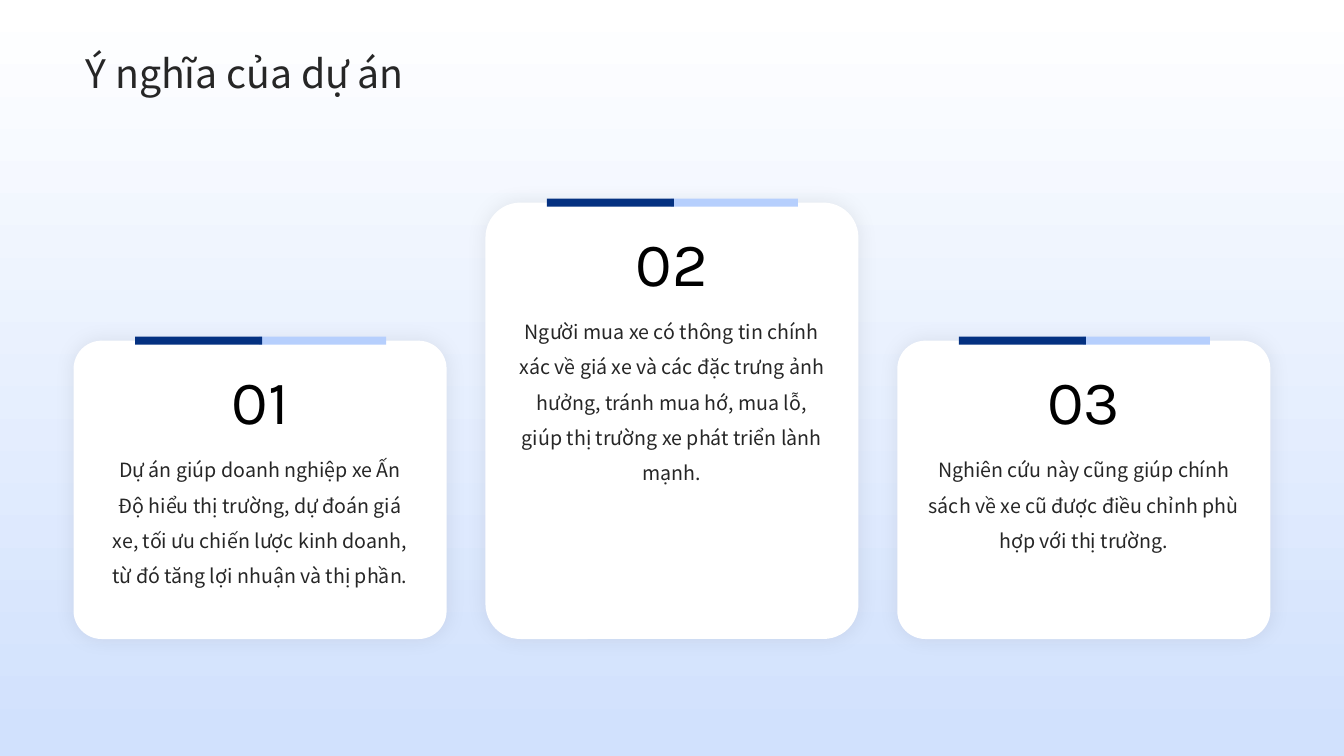
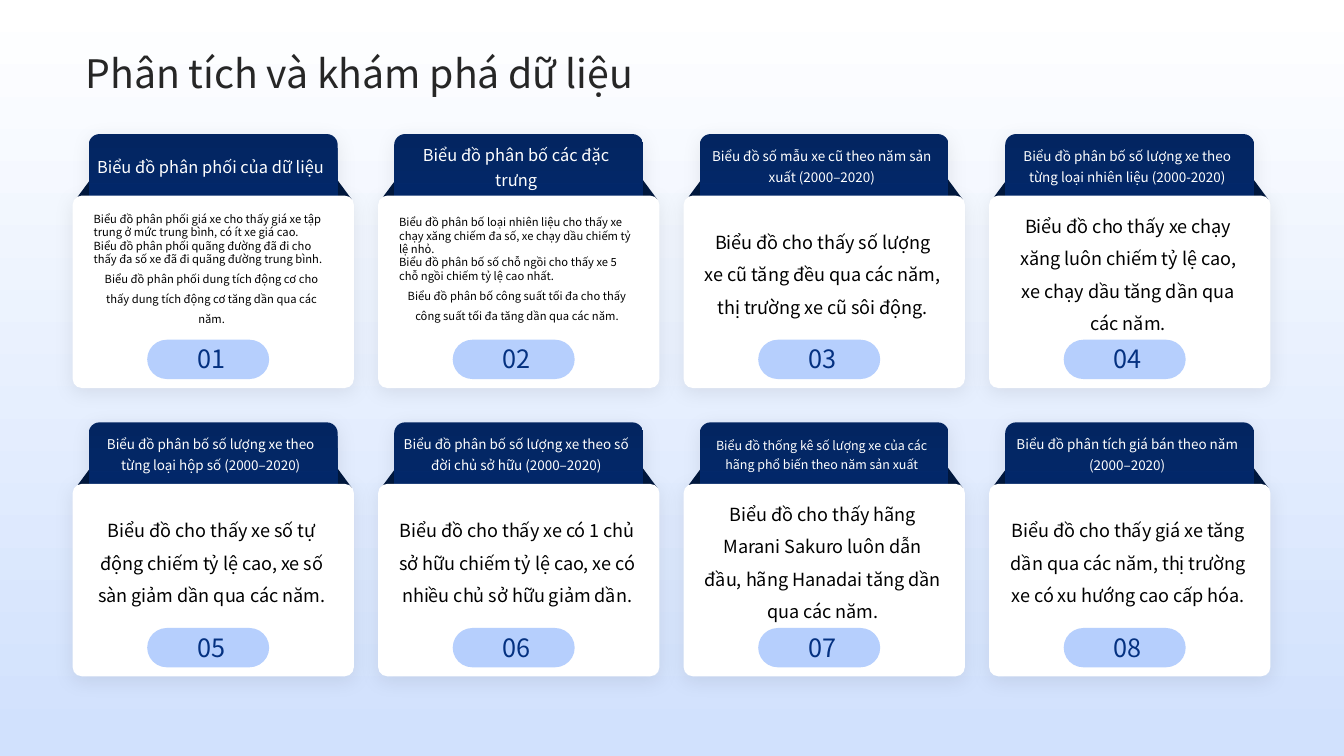
from lxml.etree import SubElement
from pptx import Presentation
from pptx.dml.color import RGBColor
from pptx.enum.shapes import MSO_SHAPE as Shape
from pptx.enum.text import MSO_ANCHOR as Anchor, PP_ALIGN as Align
from pptx.oxml.ns import qn
from pptx.util import Inches, Pt

COLORS = {
    "white": "FFFFFF", "sky": "D1E1FD", "light": "B6CFFD", "blue": "043181",
    "navy": "032561", "fold": "021940", "ink": "262626", "black": "000000",
}
SANS, NUMERAL = "Noto Sans CJK SC", "Karla"
WIDTH, HEIGHT = 13.33, 7.5
BACKDROP = [(0, "white"), (0.98, "sky")]
TAB_FILL = [(0.01, "navy"), (0.82, "blue")]
GLOW = (15, 0, 0)        # blur, distance, direction
DROP = (14, 3, 90)


def add_panel(slide, kind, box, fill, corner=None, shadow=None):
    """Add a borderless shape; fill is a colour name or a list of gradient stops."""
    panel = slide.shapes.add_shape(kind, *map(Inches, box))
    panel.line.fill.background()
    panel.shadow.inherit = False
    if corner is not None:
        panel.adjustments[0] = corner
    if isinstance(fill, str):
        panel.fill.solid()
        panel.fill.fore_color.rgb = RGBColor.from_string(COLORS[fill])
    else:
        panel.fill.gradient()
        panel.fill.gradient_angle = 270
        for stop, (position, color) in zip(panel.fill.gradient_stops, fill):
            stop.position = position
            stop.color.rgb = RGBColor.from_string(COLORS[color])
    if shadow:
        blur, distance, direction = shadow
        effects = panel._element.spPr.find(qn("a:effectLst"))
        outer = SubElement(effects, qn("a:outerShdw"), blurRad=str(Pt(blur)),
                           dist=str(Pt(distance)), dir=str(direction * 60000),
                           algn="ctr", rotWithShape="0")
        tint = SubElement(outer, qn("a:srgbClr"), val=COLORS["black"])
        SubElement(tint, qn("a:alpha"), val="8000")


def add_text(slide, box, text, size, color, spacing, align=Align.CENTER,
             anchor=Anchor.TOP, inset=True, font=SANS):
    frame = slide.shapes.add_textbox(*map(Inches, box)).text_frame
    frame.word_wrap = True
    frame.vertical_anchor = anchor
    if not inset:
        frame.margin_left = frame.margin_right = 0
        frame.margin_top = frame.margin_bottom = 0
    frame.text = text
    for paragraph in frame.paragraphs:
        paragraph.alignment = align
        paragraph.line_spacing = spacing
        for run in paragraph.runs:
            run.font.name = font
            run.font.size = Pt(size)
            run.font.color.rgb = RGBColor.from_string(COLORS[color])
    return frame


prs = Presentation()
prs.slide_width, prs.slide_height = Inches(WIDTH), Inches(HEIGHT)

slides = []
for title in ("Ý nghĩa của dự án", "Phân tích và khám phá dữ liệu"):
    slide = prs.slides.add_slide(prs.slide_layouts[6])
    add_panel(slide, Shape.RECTANGLE, (0, 0, WIDTH, HEIGHT), BACKDROP)
    add_text(slide, (0.85, 0.44, 11.67, 0.51), title, 28, "ink", 1.1,
             align=Align.LEFT, anchor=Anchor.MIDDLE, inset=False)
    slides.append(slide)
meaning, analysis = slides

# Project meaning: three cards standing on one base line
CARD_LEFT, CARD_PITCH, CARD_WIDTH, CARD_BASE = 0.73, 4.085, 3.7, 6.34
TEXT_INSET, TEXT_WIDTH = 0.21, 3.28
benefits = [
    (3.38, "Dự án giúp doanh nghiệp xe Ấn Độ hiểu thị trường, dự đoán giá xe, "
           "tối ưu chiến lược kinh doanh, từ đó tăng lợi nhuận và thị phần."),
    (2.01, "Người mua xe có thông tin chính xác về giá xe và các đặc trưng ảnh "
           "hưởng, tránh mua hớ, mua lỗ, giúp thị trường xe phát triển lành mạnh."),
    (3.38, "Nghiên cứu này cũng giúp chính sách về xe cũ được điều chỉnh phù hợp "
           "với thị trường."),
]
for column, (top, benefit) in enumerate(benefits):
    left = CARD_LEFT + column * CARD_PITCH
    height = CARD_BASE - top
    add_panel(meaning, Shape.ROUNDED_RECTANGLE, (left, top, CARD_WIDTH, height),
              "white", 0.094, GLOW)
    add_text(meaning, (left + TEXT_INSET, top + 1, TEXT_WIDTH, height - 1.21),
             benefit, 14, "ink", 1.5)
    numeral = add_text(meaning, (left + TEXT_INSET, top + 0.1, TEXT_WIDTH, 0.67),
                       f"{column + 1:02}", 44, "black", 1.1, font=NUMERAL)
    run_properties = numeral.paragraphs[0].runs[0].font._element
    outline = SubElement(run_properties, qn("a:ln"), w=str(Pt(0.75)))
    run_properties.insert(0, outline)
    SubElement(SubElement(outline, qn("a:solidFill")), qn("a:srgbClr"),
               val=COLORS["black"])
    for offset, color in ((1.84, "light"), (0.61, "blue")):
        add_panel(meaning, Shape.RECTANGLE, (left + offset, top - 0.04, 1.26, 0.08),
                  color)

# Data analysis: four columns by two rows of tabbed cards
COLUMNS = 4
GRID_LEFT, GRID_TOP, COLUMN_PITCH, ROW_PITCH = 0.72, 1.33, 3.03, 2.86
charts = [
    (11.7, "Biểu đồ phân phối của dữ liệu", 8,
     "Biểu đồ phân phối giá xe cho thấy giá xe tập trung ở mức trung bình, có ít xe giá cao.\n"
     "Biểu đồ phân phối quãng đường đã đi cho thấy đa số xe đã đi quãng đường trung bình.\n"
     "Biểu đồ phân phối dung tích động cơ cho thấy dung tích động cơ tăng dần qua các năm."),
    (11.7, "Biểu đồ phân bố các đặc trưng", 8,
     "Biểu đồ phân bố loại nhiên liệu cho thấy xe chạy xăng chiếm đa số, xe chạy dầu chiếm tỷ lệ nhỏ.\n"
     "Biểu đồ phân bố số chỗ ngồi cho thấy xe 5 chỗ ngồi chiếm tỷ lệ cao nhất.\n"
     "Biểu đồ phân bố công suất tối đa cho thấy công suất tối đa tăng dần qua các năm."),
    (9.6, "Biểu đồ số mẫu xe cũ theo năm sản xuất (2000–2020)", 12.9,
     "Biểu đồ cho thấy số lượng xe cũ tăng đều qua các năm, thị trường xe cũ sôi động."),
    (9.6, "Biểu đồ phân bố số lượng xe theo từng loại nhiên liệu (2000-2020)", 12.9,
     "Biểu đồ cho thấy xe chạy xăng luôn chiếm tỷ lệ cao, xe chạy dầu tăng dần qua các năm."),
    (9.6, "Biểu đồ phân bố số lượng xe theo từng loại hộp số (2000–2020)", 12.9,
     "Biểu đồ cho thấy xe số tự động chiếm tỷ lệ cao, xe số sàn giảm dần qua các năm."),
    (9.6, "Biểu đồ phân bố số lượng xe theo số đời chủ sở hữu (2000–2020)", 12.9,
     "Biểu đồ cho thấy xe có 1 chủ sở hữu chiếm tỷ lệ cao, xe có nhiều chủ sở hữu giảm dần."),
    (8.9, "Biểu đồ thống kê số lượng xe của các hãng phổ biến theo năm sản xuất", 12.9,
     "Biểu đồ cho thấy hãng Marani Sakuro luôn dẫn đầu, hãng Hanadai tăng dần qua các năm."),
    (9.6, "Biểu đồ phân tích giá bán theo năm (2000–2020)", 12.9,
     "Biểu đồ cho thấy giá xe tăng dần qua các năm, thị trường xe có xu hướng cao cấp hóa."),
]
for index, (heading_size, heading, finding_size, finding) in enumerate(charts):
    row, column = divmod(index, COLUMNS)
    left = GRID_LEFT + column * COLUMN_PITCH
    top = GRID_TOP + row * ROW_PITCH
    for offset in (0.03, 2.03):
        add_panel(analysis, Shape.ISOSCELES_TRIANGLE,
                  (left + offset, top + 0.15, 0.74, 0.5), "fold")
    add_panel(analysis, Shape.ROUNDED_RECTANGLE, (left + 0.16, top, 2.47, 2.29),
              TAB_FILL, 0.047, DROP)
    add_panel(analysis, Shape.ROUNDED_RECTANGLE, (left, top + 0.61, 2.79, 1.91),
              "white", 0.049, DROP)
    add_text(analysis, (left + 0.24, top + 0.09, 2.26, 0.42), heading, heading_size,
             "white", 1.3, anchor=Anchor.MIDDLE, inset=False)
    findings = add_text(analysis, (left + 0.11, top + 0.75, 2.54, 1.18), finding,
                        finding_size, "black", 1.5, anchor=Anchor.MIDDLE)
    for paragraph in findings.paragraphs[:-1]:
        paragraph.alignment = Align.LEFT
        paragraph.line_spacing = 1.0
    add_panel(analysis, Shape.ROUNDED_RECTANGLE, (left + 0.74, top + 2.04, 1.21, 0.39),
              "light", 0.5)
    add_text(analysis, (left + 0.97, top + 1.96, 0.81, 0.47), f"{index + 1:02}", 18,
             "blue", 1.1, anchor=Anchor.BOTTOM)

prs.save("out.pptx")
